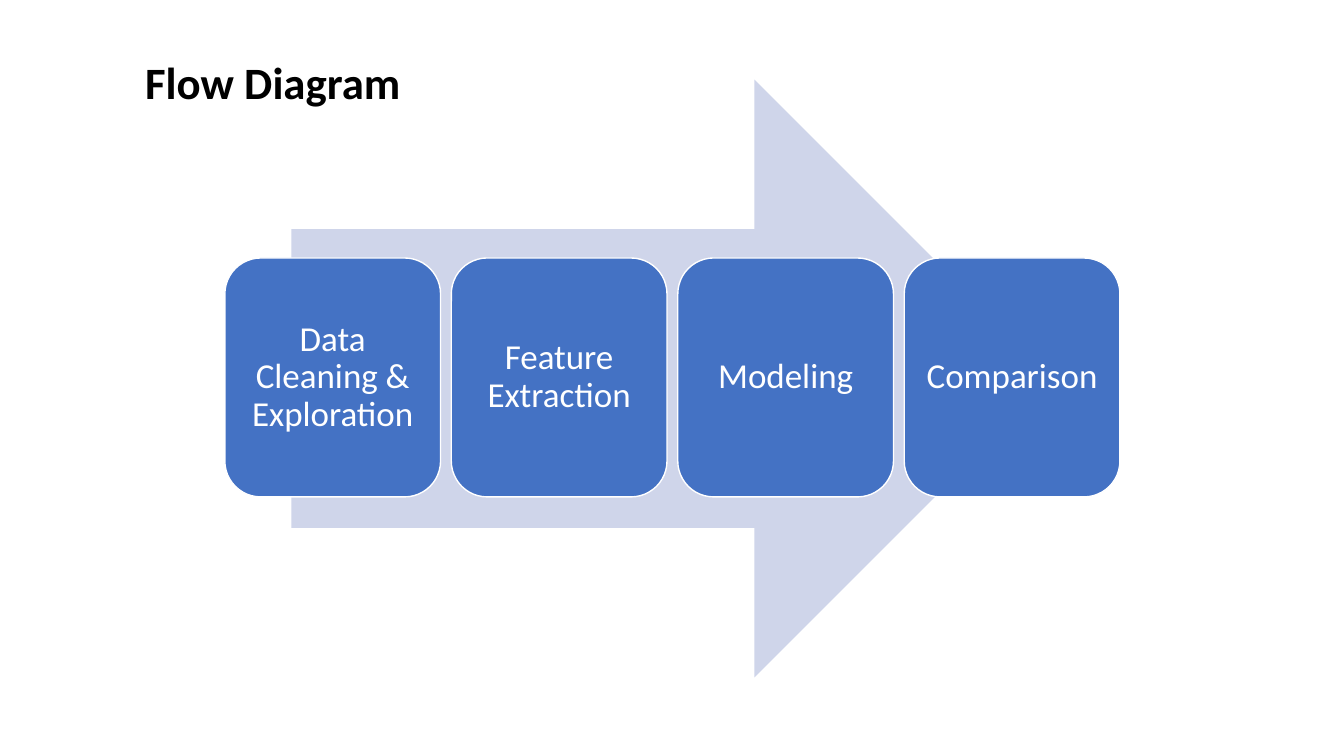
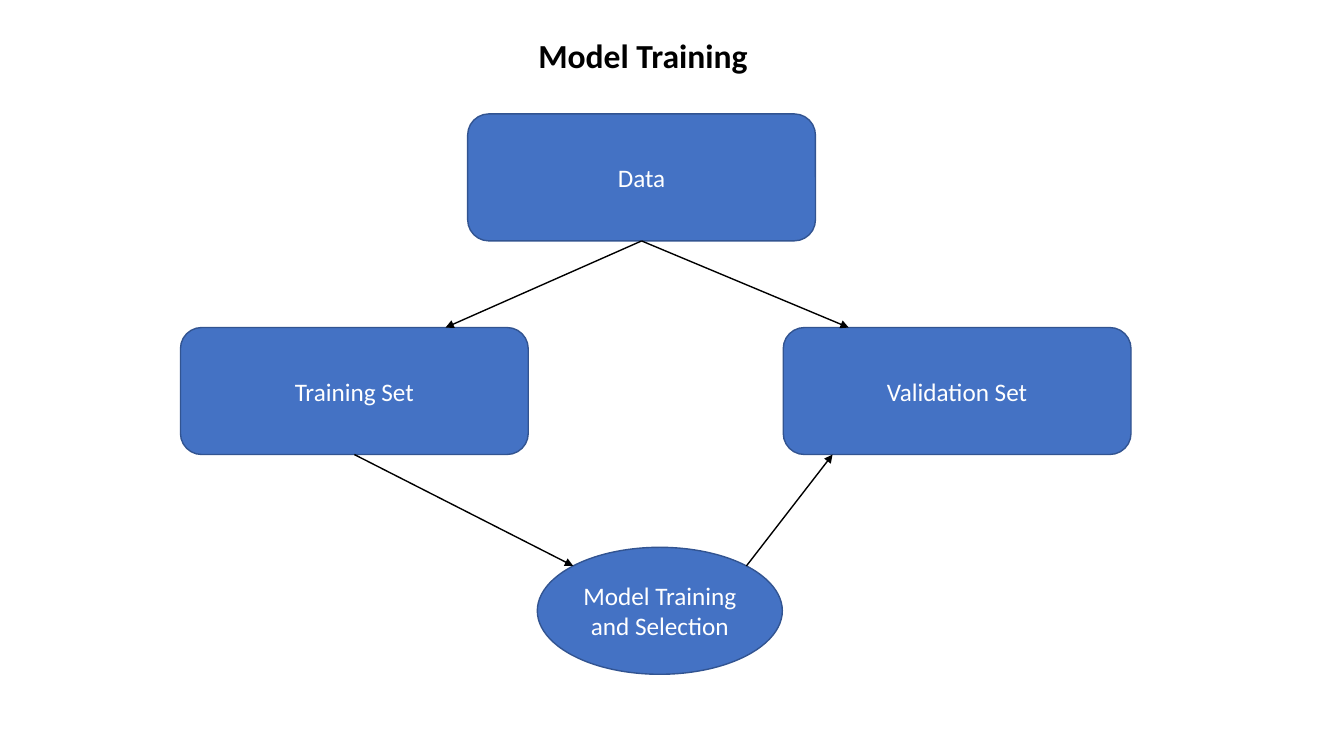
import math

import lxml.etree
import pptx
import pptx.dml.color
import pptx.enum.shapes
import pptx.enum.text
import pptx.oxml.ns
import pptx.util

SHAPE = pptx.enum.shapes.MSO_SHAPE
ALIGN = pptx.enum.text.PP_ALIGN
MIDDLE = pptx.enum.text.MSO_ANCHOR.MIDDLE

SLIDE_W = pptx.util.Inches(13.333)
SLIDE_H = pptx.util.Inches(7.5)
FONT = "Calibri"
BLUE, PALE, EDGE = "4472C4", "CFD5EA", "325491"
WHITE, BLACK = "FFFFFF", "000000"
BOTTOM = 2


def rgb(hex_string):
    return pptx.dml.color.RGBColor.from_string(hex_string)


def across(percent):
    return pptx.util.Emu(round(SLIDE_W * percent / 100))


def down(percent):
    return pptx.util.Emu(round(SLIDE_H * percent / 100))


def area(left, top, width, height):
    """Turn percentages of the slide's size into lengths."""
    return across(left), down(top), across(width), down(height)


def add_run(p, text, size, color, bold=False):
    r = p.add_run()
    r.text = text
    r.font.name = FONT
    r.font.size = pptx.util.Pt(size)
    r.font.bold = bold
    r.font.color.rgb = rgb(color)


def add_titled_slide(prs, title, place, size):
    s = prs.slides.add_slide(prs.slide_layouts.get_by_name("Title Only"))
    sp = s.shapes.title
    sp.left, sp.top, sp.width, sp.height = place
    tf = sp.text_frame
    tf.auto_size = pptx.enum.text.MSO_AUTO_SIZE.NONE
    tf.vertical_anchor = MIDDLE
    p = tf.paragraphs[0]
    p.alignment = ALIGN.LEFT
    add_run(p, title, size, BLACK, bold=True)
    return s


def add_filled(s, kind, place, fill, line=None):
    sp = s.shapes.add_shape(kind, *place)
    sp.shadow.inherit = False
    sp.fill.solid()
    sp.fill.fore_color.rgb = rgb(fill)
    if line:
        sp.line.color.rgb = rgb(line)
        sp.line.width = pptx.util.Pt(1)
    else:
        sp.line.fill.background()
    return sp


def add_node(s, kind, text, place, line, size, spacing=1.0):
    sp = add_filled(s, kind, place, BLUE, line)
    tf = sp.text_frame
    tf.word_wrap = True
    tf.vertical_anchor = MIDDLE
    p = tf.paragraphs[0]
    p.alignment = ALIGN.CENTER
    p.line_spacing = spacing
    add_run(p, text, size, WHITE)
    return sp


def add_arrow(s, start, end):
    cxn = s.shapes.add_connector(
        pptx.enum.shapes.MSO_CONNECTOR.STRAIGHT, *start, *end)
    cxn.line.color.rgb = rgb(BLACK)
    cxn.line.width = pptx.util.Pt(1)
    qn = pptx.oxml.ns.qn
    lxml.etree.SubElement(cxn.line._get_or_add_ln(), qn("a:tailEnd"),
                          type="triangle")
    lxml.etree.SubElement(cxn._element.spPr, qn("a:effectLst"))
    return cxn


def bottom_middle(sp):
    return sp.left + sp.width // 2, sp.top + sp.height


def upper_diagonal(oval, side):
    """Point on the oval at 45 degrees, left (-1) or right (1) of its top."""
    reach = math.sqrt(0.5)
    return (round(oval.left + oval.width / 2 * (1 + side * reach)),
            round(oval.top + oval.height / 2 * (1 - reach)))


def build_flow(prs):
    s = add_titled_slide(prs, "Flow Diagram",
                         area(10.05, 6.53, 24.68, 8.53), 32)
    add_filled(s, SHAPE.RIGHT_ARROW, area(21.68, 10.53, 56.7, 79.07), PALE)
    steps = ("Data Cleaning & Exploration", "Feature Extraction",
             "Modeling", "Comparison")
    first, pitch = 16.73, 16.85
    for i, step in enumerate(steps):
        place = area(first + i * pitch, 34.13, 16.05, 31.6)
        add_node(s, SHAPE.ROUNDED_RECTANGLE, step, place, WHITE, 25, 0.9)


def build_training(prs):
    s = add_titled_slide(prs, "Model Training",
                         area(39.3, 4, 17.25, 6.67), 24)
    box_w, node_h, sets_top = 25.88, 16.8, 43.33
    data, training, validation = (
        add_node(s, SHAPE.ROUNDED_RECTANGLE, text,
                 area(left, top, box_w, node_h), EDGE, 18)
        for text, left, top in (("Data", 34.8, 15.07),
                                ("Training Set", 13.43, sets_top),
                                ("Validation Set", 58.28, sets_top)))
    model = add_node(s, SHAPE.OVAL, "Model Training and Selection",
                     area(39.98, 72.4, 18.23, node_h), EDGE, 18)

    for source, end in (
            (data, (across(33.15), training.top)),
            (data, (across(63.15), validation.top)),
            (training, upper_diagonal(model, -1))):
        add_arrow(s, bottom_middle(source), end).begin_connect(source, BOTTOM)
    add_arrow(s, upper_diagonal(model, 1),
              (across(61.95), validation.top + validation.height))


def main():
    prs = pptx.Presentation()
    prs.slide_width, prs.slide_height = SLIDE_W, SLIDE_H
    build_flow(prs)
    build_training(prs)
    prs.save("out.pptx")


if __name__ == "__main__":
    main()
